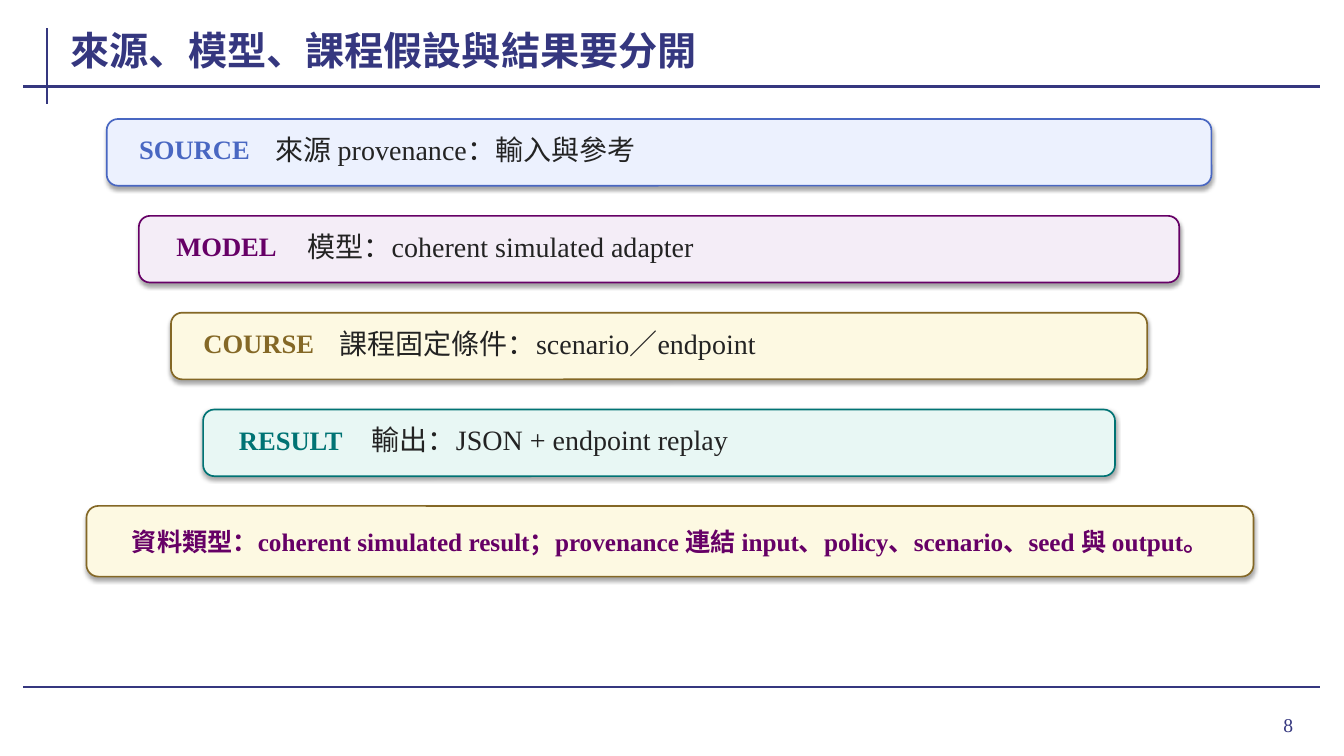
from lxml import etree
from pptx import Presentation
from pptx.dml.color import RGBColor
from pptx.enum.shapes import MSO_CONNECTOR, MSO_SHAPE
from pptx.enum.text import MSO_ANCHOR, MSO_AUTO_SIZE, PP_ALIGN
from pptx.oxml import parse_xml
from pptx.oxml.ns import nsdecls, qn
from pptx.util import Cm, Pt

LINE = MSO_CONNECTOR.STRAIGHT
ROUNDED = MSO_SHAPE.ROUNDED_RECTANGLE
MIDDLE = MSO_ANCHOR.MIDDLE
GROW = MSO_AUTO_SIZE.SHAPE_TO_FIT_TEXT
FIXED = MSO_AUTO_SIZE.NONE
LEFT, CENTER, RIGHT = PP_ALIGN.LEFT, PP_ALIGN.CENTER, PP_ALIGN.RIGHT

FONT = "Times New Roman"
COLORS = {
    "navy": "35377F", "ink": "232323",
    "blue": "4967C2", "pale_blue": "ECF1FE",
    "purple": "660066", "pale_purple": "F4EDF7",
    "gold": "846826", "pale_gold": "FDF9E2",
    "teal": "007374", "pale_teal": "E8F7F4",
}
BANDS = [
    ("SOURCE", "來源 provenance：輸入與參考", "blue"),
    ("MODEL", "模型：coherent simulated adapter", "purple"),
    ("COURSE", "課程固定條件：scenario／endpoint", "gold"),
    ("RESULT", "輸出：JSON + endpoint replay", "teal"),
]


def rgb(name):
    return RGBColor.from_string(COLORS[name])


def add_rule(s, x1, y1, x2, y2):
    c = s.shapes.add_connector(LINE, Cm(x1), Cm(y1), Cm(x2), Cm(y2))
    c.line.color.rgb = rgb("navy")
    c.line.width = Pt(1.5)
    etree.SubElement(c._element.spPr, qn("a:effectLst"))


def add_text(s, text, x, y, w, h, size, color, bold=False, align=LEFT,
             inset=0.03, auto_size=GROW):
    sp = s.shapes.add_textbox(Cm(x), Cm(y), Cm(w), Cm(h))
    tf = sp.text_frame
    tf.word_wrap = True
    tf.auto_size = auto_size
    tf.vertical_anchor = MIDDLE
    tf.margin_left = tf.margin_right = Cm(inset)
    tf.margin_top = tf.margin_bottom = 0
    p = tf.paragraphs[0]
    p.text = text
    p.alignment = align
    font = p.runs[0].font
    font.name, font.size, font.bold = FONT, Pt(size), bold
    font.color.rgb = rgb(color)


def add_panel(s, x, y, w, h, color):
    sp = s.shapes.add_shape(ROUNDED, Cm(x), Cm(y), Cm(w), Cm(h))
    sp.fill.solid()
    sp.fill.fore_color.rgb = rgb("pale_" + color)
    sp.line.color.rgb = rgb(color)
    sp.line.width = Pt(1.2)
    # Soft shadow straight below
    sp.shadow.inherit = False
    effects = sp._element.spPr.find(qn("a:effectLst"))
    effects.append(parse_xml(
        f'<a:outerShdw {nsdecls("a")} blurRad="{Pt(3.1)}" dist="{Pt(1.8)}" '
        'dir="5400000" algn="ctr" rotWithShape="0"><a:srgbClr val="000000">'
        '<a:alpha val="35000"/></a:srgbClr></a:outerShdw>'))


def add_band(s, level, label, text, color):
    # Each band is lower and indented equally on both sides
    x, y = 2.69 + 0.81 * level, 3 + 2.44 * level
    w = 27.84 - 1.62 * level
    add_panel(s, x, y, w, 1.68, color)
    add_text(s, label, x + 0.56, y + 0.25, 3.3, 1.02, 19, color, True, CENTER)
    add_text(s, text, x + 4.22, y + 0.25, w - 5.44, 1.02, 20, "ink")


def main():
    prs = Presentation()
    prs.slide_width, prs.slide_height = Cm(33.87), Cm(19.05)
    s = prs.slides.add_slide(prs.slide_layouts[6])

    # Frame lines, page number and title
    add_rule(s, 1.19, 0.71, 1.19, 2.62)
    for y in (2.18, 17.32):
        add_rule(s, 0.58, y, 33.27, y)
    add_text(s, "8", 30.38, 17.6, 2.46, 1.32, 14, "navy", align=RIGHT,
             inset=0.25, auto_size=FIXED)
    add_text(s, "來源、模型、課程假設與結果要分開", 1.73, 0.46, 30.35, 1.57,
             28, "navy", True, inset=0.05, auto_size=FIXED)

    # Four stepped bands
    for level, band in enumerate(BANDS):
        add_band(s, level, *band)

    # Summary
    add_panel(s, 2.18, 12.75, 29.41, 1.78, "gold")
    add_text(s, "資料類型：coherent simulated result；provenance 連結 "
             "input、policy、scenario、seed 與 output。",
             2.64, 12.93, 28.5, 1.42, 18, "purple", True, CENTER, inset=0.05)

    prs.save("out.pptx")


if __name__ == "__main__":
    main()
